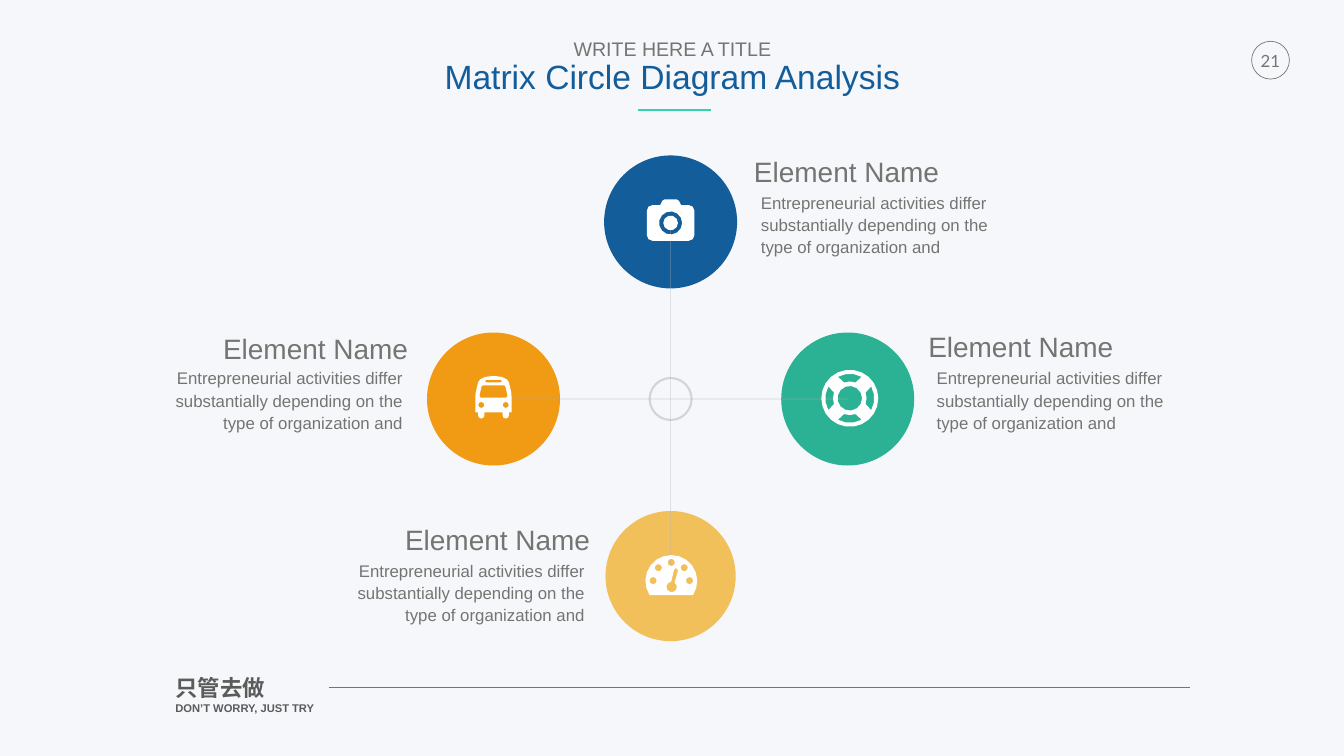
"""Build the matrix circle diagram slide."""
from dataclasses import dataclass
from math import cos, radians, sin

from lxml.etree import SubElement
from pptx import Presentation
from pptx.dml.color import RGBColor as Rgb
from pptx.enum.shapes import MSO_CONNECTOR as Connector, MSO_SHAPE as Preset
from pptx.enum.text import MSO_ANCHOR as Anchor, MSO_AUTO_SIZE as AutoSize, PP_ALIGN as Align
from pptx.oxml.ns import qn
from pptx.util import Pt

Point = tuple[float, float]
Contour = list[Point]


@dataclass(frozen=True)
class Theme:
    background: str = "F6F7FA"
    grey: str = "737572"
    footer: str = "5B5B5B"
    hub: str = "B2B2B2"
    blue: str = "135D9A"
    mint: str = "33D1AD"
    orange: str = "F19A14"
    yellow: str = "F1C05A"
    green: str = "2BB294"
    white: str = "FFFFFF"
    font: str = "Arial"
    number_font: str = "Lato"
    title: int = 48
    overline: int = 28
    name: int = 40
    body: int = 24
    number: int = 24
    motto: int = 32
    motto_small: int = 16


THEME = Theme()
HUB_X, HUB_Y, SPOKE = 958, 570, 253
NAME = "Element Name"
BODY = "Entrepreneurial activities differ substantially depending on the type of organization and"


@dataclass(frozen=True)
class Box:
    left: float
    top: float
    width: float
    height: float


@dataclass(frozen=True)
class Style:
    size: int
    color: str
    font: str = THEME.font
    bold: bool = False


@dataclass(frozen=True)
class Element:
    center: Point
    diameter: float
    color: str
    icon: list[Contour]
    icon_shift: Point
    name_box: Box
    body_box: Box
    align: Align


def arc(x: float, y: float, radius: float, start: float = 0, end: float = 360) -> Contour:
    steps = max(2, round(abs(end - start) / 360 * (6 + 0.4 * radius)))
    angles = [radians(start + (end - start) * step / steps) for step in range(steps + 1)]
    return [(x + radius * cos(angle), y + radius * sin(angle)) for angle in angles]


def mirrored(right_half: Contour) -> Contour:
    return right_half + [(-x, y) for x, y in reversed(right_half)]


def camera_icon() -> list[Contour]:
    bump = [(9, -32), (12, -30), (15, -24)]
    case = mirrored(bump + arc(26, -16, 8, -90, 0) + arc(26, 19, 8, 0, 90))
    return [case, arc(0, 1.5, 16.5), arc(0, 1.5, 10.5)]


def bus_icon() -> list[Contour]:
    roof = [(0, -33), (12, -31.5), (19, -28), (22, -24), (25.5, -9), (26, 0)]
    wheel = [(26, 19), (22, 19)] + arc(17.5, 23.5, 4.5, 0, 180) + [(13, 19)]
    windscreen = mirrored([(15, -19.5), (17, -18), (20, -5), (18.5, -2)])
    sign = mirrored(arc(10, -25.5, 1.8, -90, 90))
    return [mirrored(roof + wheel), windscreen, sign, arc(-17.5, 8.5, 4.3), arc(17.5, 8.5, 4.3)]


def lifebuoy_icon() -> list[Contour]:
    slots = [arc(0, 0, 35, turn - 29, turn + 29) + arc(0, 0, 24, turn + 20, turn - 20)
             for turn in range(0, 360, 90)]
    return [arc(0, 0, 40.7), arc(0, 0, 17.6)] + slots


def gauge_icon() -> list[Contour]:
    marks = [(-26, -0.5), (-18.5, -19), (0, -26.5), (18.5, -19), (26, -0.5)]
    needle = arc(0.5, 8.5, 7.5, -55, 265) + [(4, -16.5), (7, -18.5), (9.5, -14.5)]
    return [arc(0, 0, 37, 147, 393), needle] + [arc(x, y, 5.2) for x, y in marks]


def paint_line(line, color: str, width: float, opacity: int = 100) -> None:
    line.color.rgb = Rgb.from_string(color)
    line.width = Pt(width)
    if opacity < 100:
        tint = line.fill._xPr.find(qn("a:solidFill"))[0]
        SubElement(tint, qn("a:alpha")).set("val", str(opacity * 1000))


def paint_fill(shape, color: str) -> None:
    shape.shadow.inherit = False
    shape.fill.solid()
    shape.fill.fore_color.rgb = Rgb.from_string(color)
    shape.line.fill.background()


def add_circle(page, center: Point, diameter: float):
    left, top = (value - diameter / 2 for value in center)
    circle = page.shapes.add_shape(Preset.OVAL, Pt(left), Pt(top), Pt(diameter), Pt(diameter))
    circle.shadow.inherit = False
    return circle


def add_ring(page, center: Point, diameter: float, color: str, width: float, opacity: int = 100) -> None:
    ring = add_circle(page, center, diameter)
    ring.fill.background()
    paint_line(ring.line, color, width, opacity)


def add_line(page, start: Point, end: Point, color: str, width: float, opacity: int = 100) -> None:
    line = page.shapes.add_connector(Connector.STRAIGHT, *(Pt(value) for value in start + end))
    paint_line(line.line, color, width, opacity)
    SubElement(line._element.spPr, qn("a:effectLst"))


def add_icon(page, element: Element) -> None:
    x, y = (value + shift for value, shift in zip(element.center, element.icon_shift))
    contours = [[(Pt(x + dx), Pt(y + dy)) for dx, dy in contour] for contour in element.icon]
    builder = page.shapes.build_freeform(*contours[0][0])
    for index, contour in enumerate(contours):
        if index:
            builder.move_to(*contour[0])
        builder.add_line_segments(contour[1:], close=True)
    paint_fill(builder.convert_to_shape(), THEME.white)


def write(shape, text: str, styles: list[Style], align: Align = Align.LEFT, inset: float = 7.2,
          anchor: Anchor = Anchor.TOP, spacing: float = 1.0, wrap: bool = True) -> None:
    frame = shape.text_frame
    frame.text = text
    frame.word_wrap, frame.auto_size, frame.vertical_anchor = wrap, AutoSize.NONE, anchor
    frame.margin_left = frame.margin_right = frame.margin_top = frame.margin_bottom = Pt(inset)
    for para, style in zip(frame.paragraphs, styles):
        para.alignment, para.line_spacing = align, spacing
        for span in para.runs:
            span.font.name, span.font.size, span.font.bold = style.font, Pt(style.size), style.bold
            span.font.color.rgb = Rgb.from_string(style.color)


def add_text(page, box: Box, text: str, styles: list[Style], **layout) -> None:
    shape = page.shapes.add_textbox(Pt(box.left), Pt(box.top), Pt(box.width), Pt(box.height))
    write(shape, text, styles, **layout)


def add_frame(page) -> None:
    add_ring(page, (1815, 86), 54, THEME.grey, 1)
    add_text(page, Box(1794, 65, 42, 43), "21", [Style(THEME.number, THEME.grey, THEME.number_font)],
             align=Align.CENTER, wrap=False)
    motto = [Style(size, THEME.footer, bold=True) for size in (THEME.motto, THEME.motto_small)]
    add_text(page, Box(247, 960, 287, 71), "只管去做\nDON’T WORRY, JUST TRY", motto, inset=3.6)
    add_line(page, (469.5, 982), (1700.5, 982), THEME.grey, 0.25)
    title = page.shapes.title
    title.left, title.top, title.width, title.height = Pt(631), Pt(53), Pt(659), Pt(96)
    write(title, "WRITE HERE A TITLE\nMatrix Circle Diagram Analysis",
          [Style(THEME.overline, THEME.grey), Style(THEME.title, THEME.blue)],
          align=Align.CENTER, inset=3.6, spacing=0.9, wrap=False)
    add_line(page, (912, 157), (1016, 157), THEME.mint, 3)


def add_diagram(page, elements: list[Element]) -> None:
    hub = (HUB_X, HUB_Y)
    for element in elements:
        paint_fill(add_circle(page, element.center, element.diameter), element.color)
    add_ring(page, hub, 60, THEME.hub, 3, opacity=50)
    for element in elements:
        add_line(page, hub, element.center, THEME.hub, 1, opacity=50)
    for element in elements:
        add_icon(page, element)
        add_text(page, element.name_box, NAME, [Style(THEME.name, THEME.grey)], align=element.align)
        add_text(page, element.body_box, BODY, [Style(THEME.body, THEME.grey)], align=element.align,
                 inset=0, anchor=Anchor.MIDDLE, spacing=1.1)


def main() -> None:
    deck = Presentation()
    deck.slide_width, deck.slide_height = Pt(1920), Pt(1080)
    page = deck.slides.add_slide(deck.slide_layouts.get_by_name("Title Only"))
    page.background.fill.solid()
    page.background.fill.fore_color.rgb = Rgb.from_string(THEME.background)
    add_frame(page)
    add_diagram(page, [
        Element((HUB_X, HUB_Y - SPOKE), 190, THEME.blue, camera_icon(), (0, 0),
                Box(1070, 214, 511, 63), Box(1087, 273, 356, 93), Align.LEFT),
        Element((HUB_X + SPOKE, HUB_Y), 190, THEME.green, lifebuoy_icon(), (3, -1),
                Box(1319, 464, 511, 63), Box(1338, 524, 356, 93), Align.LEFT),
        Element((HUB_X, HUB_Y + SPOKE), 186, THEME.yellow, gauge_icon(), (1, 7),
                Box(494, 739, 356, 63), Box(479, 799, 356, 93), Align.RIGHT),
        Element((HUB_X - SPOKE, HUB_Y), 190, THEME.orange, bus_icon(), (0, 0),
                Box(234, 466, 356, 63), Box(219, 524, 356, 93), Align.RIGHT),
    ])
    deck.save("out.pptx")


if __name__ == "__main__":
    main()
